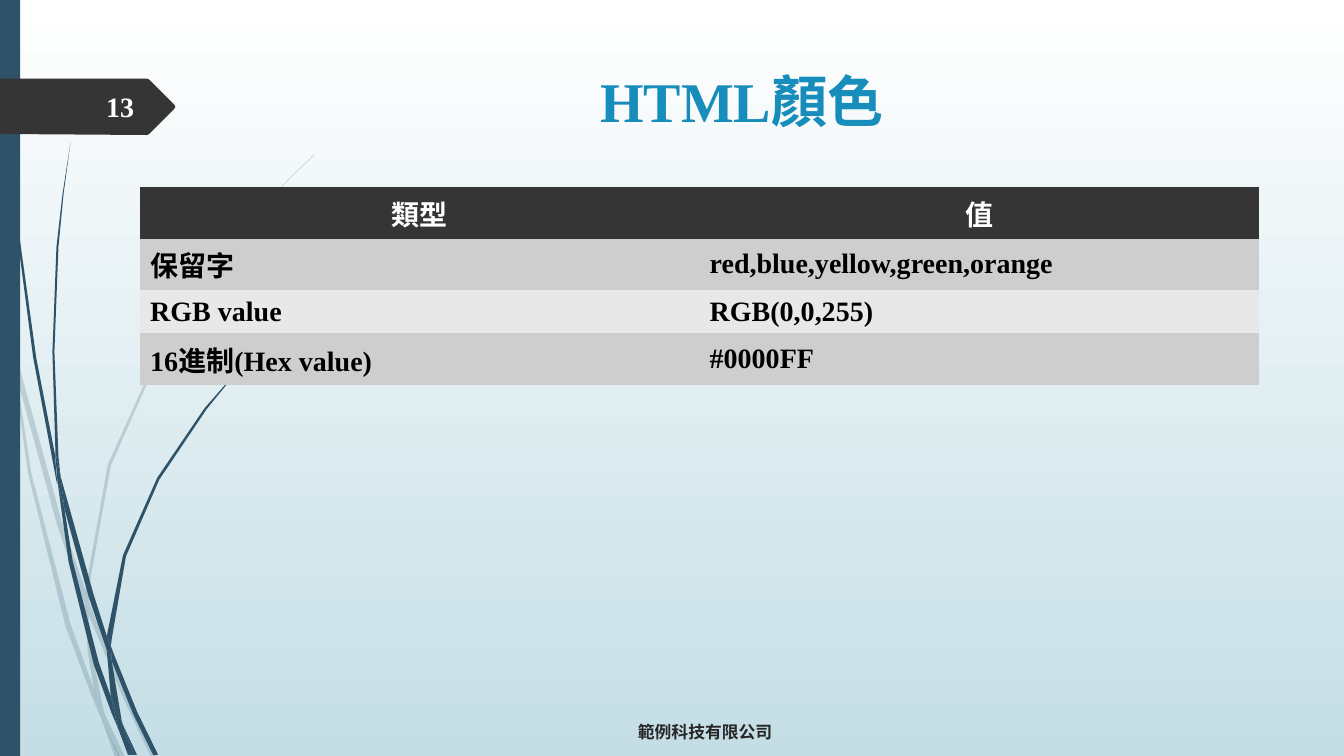
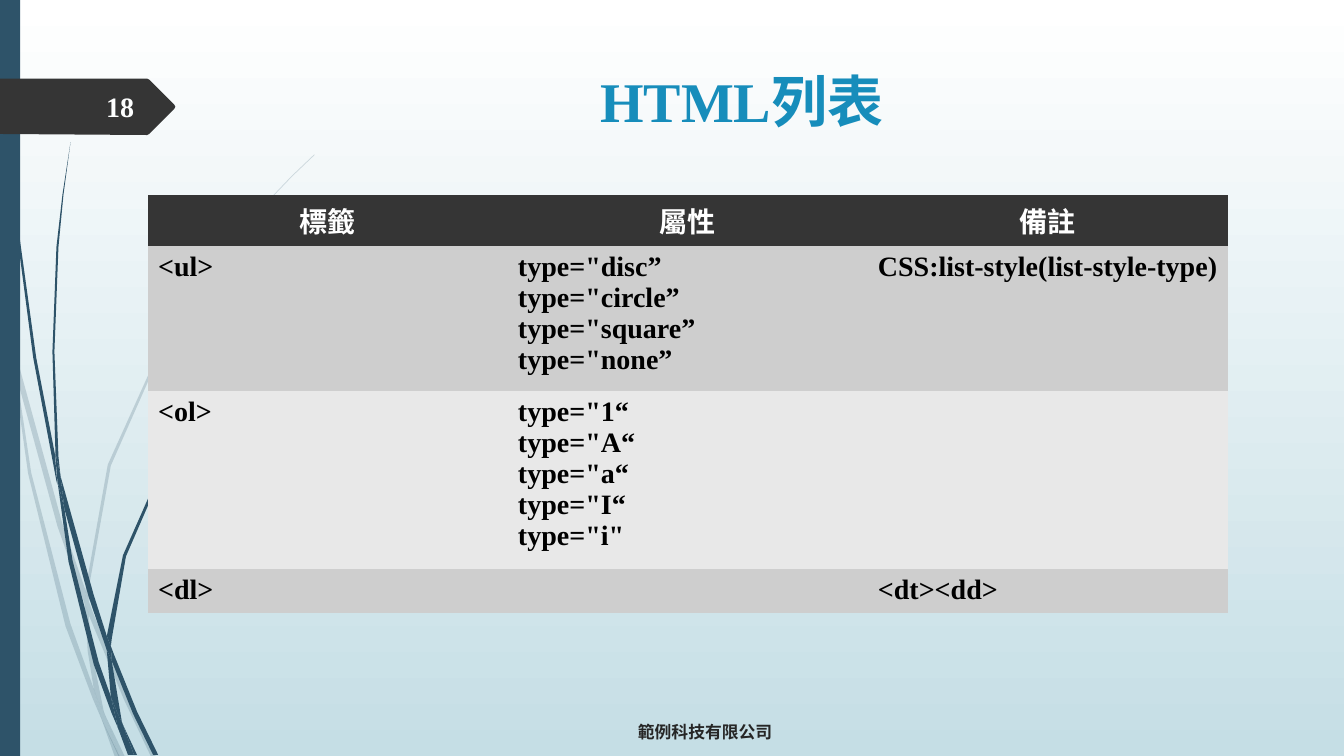
from lxml import etree
from pptx import Presentation
from pptx.dml.color import RGBColor
from pptx.enum.shapes import MSO_SHAPE
from pptx.enum.text import MSO_ANCHOR, PP_ALIGN
from pptx.oxml.ns import qn
from pptx.util import Cm, Pt

STEEL = RGBColor(0x2E, 0x53, 0x69)
CHARCOAL = RGBColor(0x35, 0x35, 0x35)
TITLE_BLUE = RGBColor(0x17, 0x8D, 0xBB)
MIST = RGBColor(0xC5, 0xDE, 0xE5)
DARK_BAND = RGBColor(0xCE, 0xCE, 0xCE)
LIGHT_BAND = RGBColor(0xE8, 0xE8, 0xE8)
FOOTER_GRAY = RGBColor(0x26, 0x26, 0x26)
NUMBER_WHITE = RGBColor(0xFE, 0xFF, 0xFF)
WHITE = RGBColor(0xFF, 0xFF, 0xFF)
BLACK = RGBColor(0, 0, 0)

LATIN_FONT = "Times New Roman"
CJK_FONT = "Noto Sans CJK SC"
NO_GRID_STYLE = "{2D5ABB26-0587-4C30-8999-92F81FD0307C}"
COMPANY = "範例科技有限公司"

# Outlines are x,y corners in hundredths of an inch.
PALE_BLADES = (
    "11,350 9,322 0,282 0,299 10,344",
    "57,522 84,599 85,586 62,520 14,345 17,376",
    "92,607 88,596 88,610 123,694 150,751 155,751 127,692",
    "119,751 124,751 105,711",
    "93,683 70,619 31,469 17,376 11,350 28,470 65,621 92,693 101,714 99,707",
    "84,599 87,646 93,683 96,692 105,711 103,706 91,646 88,610 88,608",
    "88,584 110,462 160,349 229,245 268,198 290,175 312,154 312,153 "
    "289,175 268,197 228,244 158,348 107,461 85,584 85,586 88,596",
    "101,714 114,751 119,751",
    "88,608 88,610 88,596 85,586 84,599",
    "96,692 93,683 99,707 101,714 118,751 119,751 105,711",
)
DARK_BLADES = (
    "7,110 17,233 33,355 56,477 57,481 55,457 55,453 36,355 19,232 8,109 "
    "5,48 4,0 3,0 4,48",
    "88,592 106,645 106,633 106,631 93,590 60,472 64,505",
    "113,649 110,641 111,656 132,708 152,749 157,749 136,706",
    "110,691 98,657 72,556 64,505 57,477 68,557 93,659 111,708 117,722 116,717",
    "60,472 58,453 54,349 58,245 63,193 70,141 62,193 56,245 52,349 55,449",
    "133,749 136,749 122,719",
    "57,477 64,505 60,472 55,449 55,453",
    "111,633 125,552 158,476 205,406 231,374 245,359 261,344 260,344 "
    "245,358 231,373 203,405 156,474 122,551 106,631 110,641",
    "117,722 127,749 131,749",
    "106,645 110,691 116,706 122,719 121,716 111,656 109,651",
    "106,645 109,651 111,656 110,641 106,631 106,633",
    "116,706 110,691 116,717 117,722 130,749 133,749 122,719",
)
NUMBER_TAG = ("0,78 146,78 148,79 173,104 174,106 173,108 148,133 "
              "146,134 0,133")

COLOR_ROWS = [
    ("類型", "值"),
    ("保留字", "red,blue,yellow,green,orange"),
    ("RGB value", "RGB(0,0,255)"),
    ("16進制(Hex value)", "#0000FF"),
]
LIST_ROWS = [
    ("標籤", "屬性", "備註"),
    ("<ul>", 'type="disc”\ntype="circle”\ntype="square”\ntype="none”',
     "CSS:list-style(list-style-type)"),
    ("<ol>", 'type="1“\ntype="A“\ntype="a“\ntype="I“\ntype="i"', ""),
    ("<dl>", "", "<dt><dd>"),
]


def paint(shape, color):
    """Give a shape a plain fill without line or shadow."""
    shape.shadow.inherit = False
    shape.fill.solid()
    shape.fill.fore_color.rgb = color
    shape.line.fill.background()


def add_outline(shapes, corners, color):
    """Add a closed, filled outline through the corners."""
    start, *others = [tuple(int(number) for number in corner.split(","))
                      for corner in corners.split()]
    builder = shapes.build_freeform(*start, scale=Cm(2.54) / 100)
    builder.add_line_segments(others, close=True)
    outline = builder.convert_to_shape()
    paint(outline, color)
    return outline


def add_blades(slide, blades, opacity=100):
    """Add one group of grass blades, optionally see-through."""
    grass = slide.shapes.add_group_shape()
    for blade in blades:
        leaf = add_outline(grass.shapes, blade, STEEL)
        if opacity < 100:
            for color in leaf.element.iter(qn("a:srgbClr")):
                etree.SubElement(color, qn("a:alpha"), val=str(opacity * 1000))


def decorate_layout(layout, slide):
    """Draw the shared decoration on a slide and move it to the layout."""
    background = layout.background.fill
    background.gradient()
    background.gradient_angle = 270
    for stop, color, position in zip(background.gradient_stops, (WHITE, MIST), (0, 1)):
        stop.color.rgb = color
        stop.position = position
    for placeholder in list(layout.placeholders):
        layout.shapes.element.remove(placeholder.element)
    add_blades(slide, PALE_BLADES, opacity=20)
    add_blades(slide, DARK_BLADES)
    side_band = slide.shapes.add_shape(MSO_SHAPE.RECTANGLE, 0, 0, Cm(0.51), Cm(19.05))
    paint(side_band, STEEL)
    add_outline(slide.shapes, NUMBER_TAG, CHARCOAL)
    for part in list(slide.shapes):
        layout.shapes.element.append(part.element)


def style_paragraphs(frame, size, color, align, font=LATIN_FONT):
    """Set bold text of one look on every paragraph of a frame."""
    for paragraph in frame.paragraphs:
        paragraph.alignment = align
        paragraph.font.name = font
        paragraph.font.size = Pt(size)
        paragraph.font.bold = True
        paragraph.font.color.rgb = color


def set_cjk_font(shape):
    """Pair every Latin font in a shape with the Chinese font."""
    for latin in list(shape.element.iter(qn("a:latin"))):
        latin.addnext(etree.Element(qn("a:ea"), typeface=CJK_FONT))


def add_text(slide, box, text, size, color, align=PP_ALIGN.CENTER, font=LATIN_FONT):
    """Add a vertically centred text box; box is left, top, width, height in cm."""
    label = slide.shapes.add_textbox(*(Cm(length) for length in box))
    frame = label.text_frame
    frame.word_wrap = True
    frame.vertical_anchor = MSO_ANCHOR.MIDDLE
    frame.text = text
    style_paragraphs(frame, size, color, align, font)
    set_cjk_font(label)


def add_banded_table(slide, corner, column_width, heights, rows, anchor):
    """Add a table with a dark header and two alternating body bands."""
    left, top = corner
    columns = len(rows[0])
    graphic = slide.shapes.add_table(len(rows), columns, Cm(left), Cm(top),
                                     Cm(column_width * columns), Cm(sum(heights)))
    for style in graphic.element.iter(qn("a:tableStyleId")):
        style.text = NO_GRID_STYLE
    table = graphic.table
    for column in table.columns:
        column.width = Cm(column_width)
    for index, (values, height) in enumerate(zip(rows, heights)):
        table.rows[index].height = Cm(height)
        is_header = index == 0
        band = CHARCOAL if is_header else DARK_BAND if index % 2 else LIGHT_BAND
        for cell, value in zip(table.rows[index].cells, values):
            cell.fill.solid()
            cell.fill.fore_color.rgb = band
            cell.vertical_anchor = anchor
            cell.text = value
            style_paragraphs(cell.text_frame, 20, WHITE if is_header else BLACK,
                             PP_ALIGN.CENTER if is_header else PP_ALIGN.LEFT)
    set_cjk_font(graphic)


def add_frame_texts(slide, title, number):
    """Add the title, the company footer and the page number."""
    add_text(slide, (6.32, 0.74, 24.74, 3.56), title, 40, TITLE_BLUE)
    add_text(slide, (7.19, 17.93, 21.16, 1.02), COMPANY, 12, FOOTER_GRAY, font=CJK_FONT)
    add_text(slide, (1.47, 2.18, 2.16, 1.02), str(number), 20, NUMBER_WHITE,
             PP_ALIGN.RIGHT)


def main():
    """Build the two slides and save them."""
    deck = Presentation()
    deck.slide_width, deck.slide_height = Cm(33.87), Cm(19.05)
    blank = deck.slide_layouts[6]

    colors = deck.slides.add_slide(blank)
    decorate_layout(blank, colors)
    add_frame_texts(colors, "HTML顏色", 13)
    add_banded_table(colors, (3.53, 4.72), 14.1, (1.29, 1.29, 1.04, 1.29),
                     COLOR_ROWS, MSO_ANCHOR.MIDDLE)

    lists = deck.slides.add_slide(blank)
    add_frame_texts(lists, "HTML列表", 18)
    add_banded_table(lists, (3.73, 4.92), 9.07, (1.29, 3.4, 4.17, 1.04),
                     LIST_ROWS, MSO_ANCHOR.TOP)

    deck.save("out.pptx")


main()
